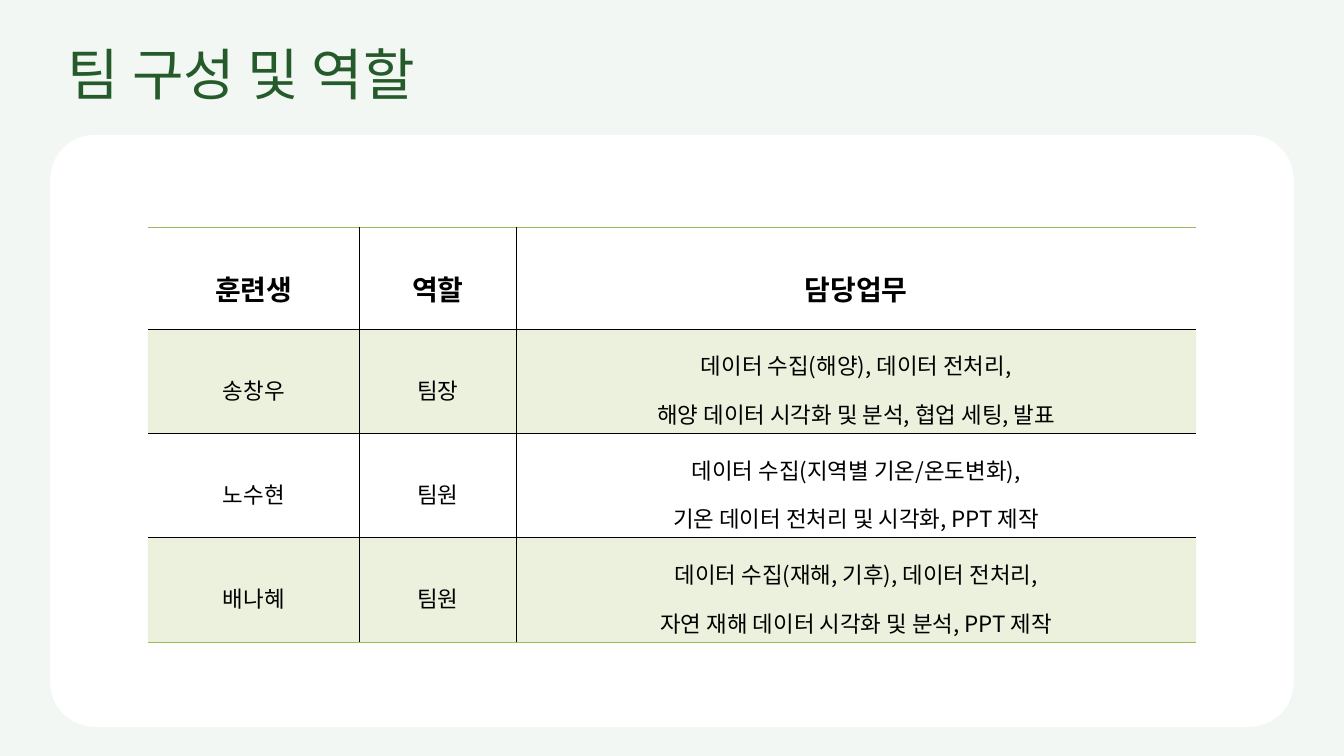
from lxml import etree
from pptx import Presentation
from pptx.dml.color import RGBColor
from pptx.enum import shapes, text
from pptx.oxml.ns import qn
from pptx.util import Cm, Pt

FONT = "Noto Sans CJK KR"
BACKGROUND = RGBColor(0xF2, 0xF7, 0xF3)
WHITE = RGBColor(0xFF, 0xFF, 0xFF)
BLACK = RGBColor(0x00, 0x00, 0x00)
TITLE_GREEN = RGBColor(0x25, 0x5A, 0x2A)
TABLE_GREEN = RGBColor(0x9B, 0xBB, 0x59)

COLUMN_WIDTHS = [Cm(8), Cm(5.92), Cm(25.7)]
ROW_HEIGHT = Cm(3.84)
ROWS = [
    ("훈련생", "역할", "담당업무"),
    ("송창우", "팀장", "데이터 수집(해양), 데이터 전처리,\n해양 데이터 시각화 및 분석, 협업 세팅, 발표"),
    ("노수현", "팀원", "데이터 수집(지역별 기온/온도변화),\n기온 데이터 전처리 및 시각화, PPT 제작"),
    ("배나혜", "팀원", "데이터 수집(재해, 기후), 데이터 전처리,\n자연 재해 데이터 시각화 및 분석, PPT 제작"),
]


def style_paragraph(p, size, color, bold, align, spacing):
    p.alignment = align
    p.line_spacing = spacing
    p.font.size = Pt(size)
    p.font.bold = bold
    p.font.color.rgb = color
    p.font.name = FONT
    latin = p.font._element.find(qn("a:latin"))
    ea = etree.Element(qn("a:ea"), typeface=FONT)
    latin.addnext(ea)


def set_borders(cell, left, right, top, bottom):
    """Draw 1 pt cell borders; a colour of None hides that side."""
    tcPr = cell._tc.get_or_add_tcPr()
    sides = {"a:lnL": left, "a:lnR": right, "a:lnT": top, "a:lnB": bottom}
    for i, (tag, color) in enumerate(sides.items()):
        ln = etree.Element(qn(tag), w=str(Pt(1)))
        if color is None:
            etree.SubElement(ln, qn("a:noFill"))
        else:
            fill = etree.SubElement(ln, qn("a:solidFill"))
            etree.SubElement(fill, qn("a:srgbClr"), val=str(color))
        tcPr.insert(i, ln)


prs = Presentation()
prs.slide_width, prs.slide_height = Cm(50.8), Cm(28.58)
s = prs.slides.add_slide(prs.slide_layouts[5])
s.background.fill.solid()
s.background.fill.fore_color.rgb = BACKGROUND

# White card
card = s.shapes.add_shape(shapes.MSO_SHAPE.ROUNDED_RECTANGLE,
                          Cm(1.9), Cm(5.1), Cm(47), Cm(22.38))
card.adjustments[0] = 0.075
card.shadow.inherit = False
card.fill.solid()
card.fill.fore_color.rgb = WHITE
card.line.fill.background()

# Title
title = s.shapes.title
title.left, title.top, title.width, title.height = Cm(2.57), Cm(1.4), Cm(48), Cm(2.72)
tf = title.text_frame
tf.text = "팀 구성 및 역할"
tf.auto_size = text.MSO_AUTO_SIZE.NONE
tf.vertical_anchor = text.MSO_ANCHOR.MIDDLE
tf.margin_left = tf.margin_right = tf.margin_top = tf.margin_bottom = 0
style_paragraph(tf.paragraphs[0], 60, TITLE_GREEN, False, text.PP_ALIGN.LEFT, 1.0)

# Team table
frame = s.shapes.add_table(len(ROWS), len(COLUMN_WIDTHS), Cm(5.59), Cm(8.61),
                           sum(COLUMN_WIDTHS), ROW_HEIGHT * len(ROWS))
table = frame.table
table.first_row = table.horz_banding = False
for column, width in zip(table.columns, COLUMN_WIDTHS):
    column.width = width

last_row, last_col = len(ROWS) - 1, len(COLUMN_WIDTHS) - 1
for r, row in enumerate(ROWS):
    table.rows[r].height = ROW_HEIGHT
    for c, words in enumerate(row):
        cell = table.cell(r, c)
        cell.text = words
        cell.vertical_anchor = text.MSO_ANCHOR.MIDDLE
        for p in cell.text_frame.paragraphs:
            style_paragraph(p, 30 if r == 0 else 24, BLACK, r == 0,
                            text.PP_ALIGN.CENTER, 1.5)
        if r % 2:
            cell.fill.solid()
            cell.fill.fore_color.rgb = TABLE_GREEN
            color = cell._tc.tcPr.find(".//" + qn("a:srgbClr"))
            etree.SubElement(color, qn("a:alpha"), val="20000")
        else:
            cell.fill.background()
        set_borders(cell,
                    left=BLACK if c > 0 else None,
                    right=BLACK if c < last_col else None,
                    top=BLACK if r > 0 else TABLE_GREEN,
                    bottom=BLACK if r < last_row else TABLE_GREEN)

prs.save("out.pptx")
